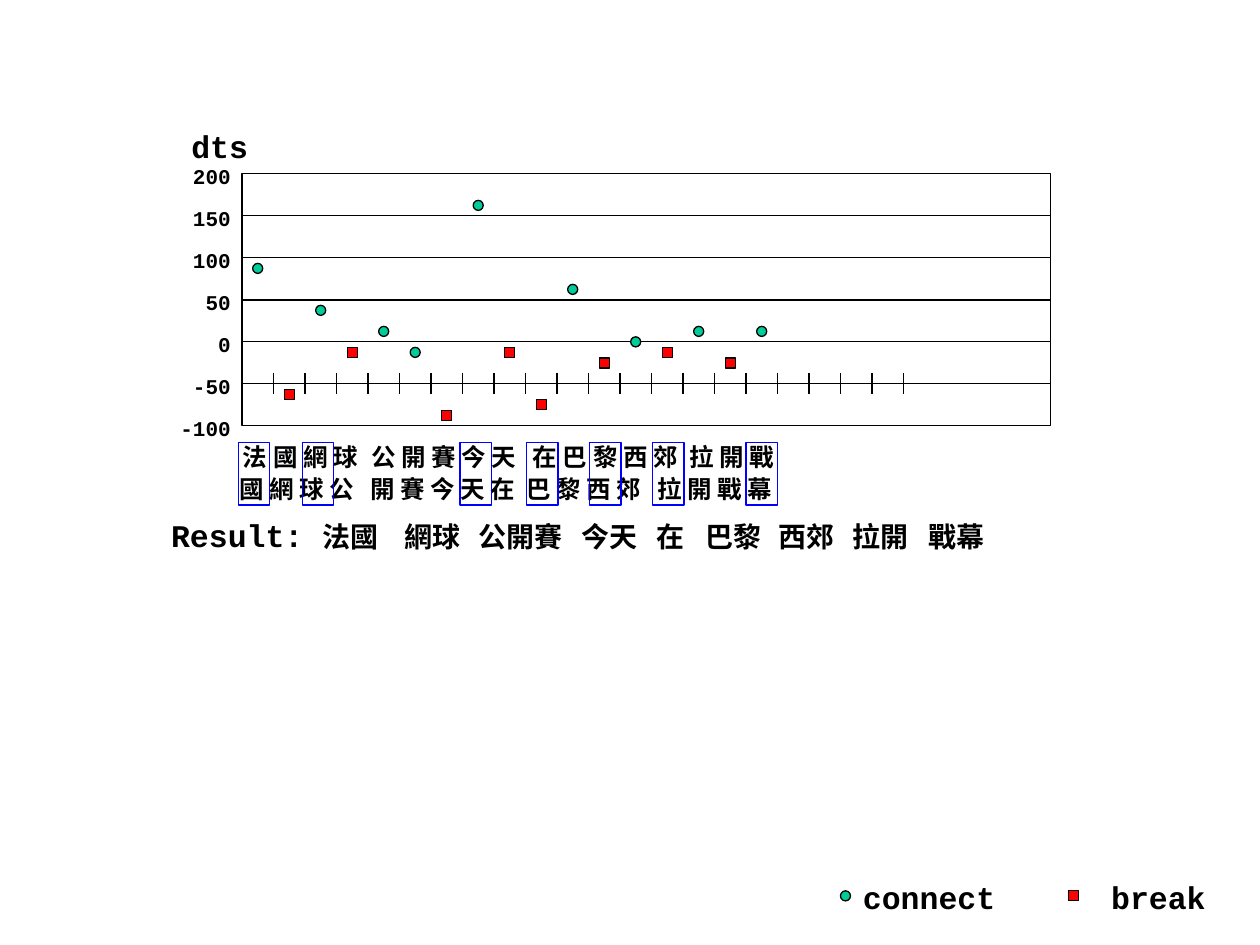
import dataclasses

import pptx
import pptx.dml.color
import pptx.enum.shapes
import pptx.enum.text
import pptx.oxml
import pptx.oxml.ns
import pptx.util
from pptx.util import Inches


@dataclasses.dataclass(frozen=True)
class Theme:
    """Colours, fonts and type sizes of the slide."""
    ink: str = "000000"
    connect: str = "00CC99"
    split: str = "FF0000"
    frame: str = "0000FF"
    mono: str = "Courier New"
    serif: str = "Times New Roman"
    chinese: str = "Noto Sans CJK TC"
    title: int = 18
    axis: int = 12
    pairs: int = 14
    result: int = 16
    gap: int = 24
    line: float = 0.75


THEME = Theme()
SHAPES = pptx.enum.shapes.MSO_SHAPE
ALIGN = pptx.enum.text.PP_ALIGN
LEFT, TOP, WIDTH, HEIGHT = 1.92, 1.38, 6.42, 2
HIGH, LOW, GRID_STEP = 200, -100, 50
PITCH, TICK_COUNT, MARKER = 0.25, 21, 0.08
SCORES = [
    (87.5, True), (-62.5, False), (37.5, True), (-12.5, False), (12.5, True),
    (-12.5, True), (-87.5, False), (162.5, True), (-12.5, False), (-75, False),
    (62.5, True), (-25, False), (0, True), (-12.5, False), (12.5, True),
    (-25, False), (12.5, True),
]
FIRST_ROW = [(1.83, "法 國 網 球"), (2.85, "公 開 賽 今 天"),
             (4.13, "在 巴 黎 西 郊"), (5.37, "拉 開 戰")]
SECOND_ROW = [(1.8, "國 網 球 公"), (2.84, "開 賽 今 天 在"),
              (4.08, "巴 黎 西 郊"), (5.12, "拉 開 戰 幕")]
FRAMES = [1.89, 2.4, 3.65, 4.18, 4.68, 5.18, 5.92]
WORDS = [(1.2, "法國"), (1.85, "網球"), (2.44, "公開賽"), (3.26, "今天"), (3.85, "在"),
         (4.24, "巴黎"), (4.82, "西郊"), (5.41, "拉開"), (6.01, "戰幕")]


def height_of(value):
    """Return the vertical place of a score on the plot."""
    return TOP + (HIGH - value) * HEIGHT / (HIGH - LOW)


def color(code):
    """Return the colour object for a hex code."""
    return pptx.dml.color.RGBColor.from_string(code)


def add_span(para, text, *, size, font=THEME.mono, bold=True):
    """Append one formatted run to a paragraph."""
    span = para.add_run()
    span.text = text
    span.font.size = pptx.util.Pt(size)
    span.font.name = font
    span.font.bold = bold
    span.font.color.rgb = color(THEME.ink)
    east_asian = pptx.oxml.parse_xml(
        f'<a:ea {pptx.oxml.ns.nsdecls("a")} typeface="{font}"/>')
    span.font._element.find(pptx.oxml.ns.qn("a:latin")).addnext(east_asian)


def add_text(page, left, top, width, height, text, *, align=ALIGN.LEFT, **style):
    """Add a text box with one run and return its paragraph."""
    box = page.shapes.add_textbox(*map(Inches, (left, top, width, height)))
    box.text_frame.word_wrap = True
    para = box.text_frame.paragraphs[0]
    para.alignment = align
    add_span(para, text, **style)
    return para


def add_box(page, kind, left, top, width, height, *, fill=None, line=THEME.ink):
    """Add an outlined preset shape, filled or open."""
    box = page.shapes.add_shape(kind, *map(Inches, (left, top, width, height)))
    box.shadow.inherit = False
    if fill:
        box.fill.solid()
        box.fill.fore_color.rgb = color(fill)
    else:
        box.fill.background()
    box.line.color.rgb = color(line)
    box.line.width = pptx.util.Pt(THEME.line)


def add_line(page, *ends):
    """Add a thin straight line without a shadow."""
    line = page.shapes.add_connector(
        pptx.enum.shapes.MSO_CONNECTOR.STRAIGHT, *map(Inches, ends))
    line.line.color.rgb = color(THEME.ink)
    line.line.width = pptx.util.Pt(THEME.line)
    line._element.spPr.append(
        pptx.oxml.parse_xml(f'<a:effectLst {pptx.oxml.ns.nsdecls("a")}/>'))


def add_marker(page, center_x, center_y, connects):
    """Add a round connect marker or a square break marker."""
    add_box(page, SHAPES.OVAL if connects else SHAPES.RECTANGLE,
            center_x - MARKER / 2, center_y - MARKER / 2, MARKER, MARKER,
            fill=THEME.connect if connects else THEME.split)


def add_plot(page):
    """Draw the frame, grid, axis labels, ticks and markers."""
    add_text(page, 1.42, 0.96, 0.75, 0.4, "dts", size=THEME.title)
    add_box(page, SHAPES.RECTANGLE, LEFT, TOP, WIDTH, HEIGHT)
    for value in range(HIGH, LOW - 1, -GRID_STEP):
        y = height_of(value)
        if LOW < value < HIGH:
            add_line(page, LEFT, y, LEFT + WIDTH, y)
        add_text(page, 1.23, y - 0.13, 0.7, 0.3, str(value),
                 size=THEME.axis, align=ALIGN.RIGHT)
    for number in range(1, TICK_COUNT + 1):
        x = LEFT + number * PITCH
        add_line(page, x, 2.96, x, 3.13)
    for number, (value, connects) in enumerate(SCORES):
        add_marker(page, LEFT + (number + 0.5) * PITCH, height_of(value), connects)


def add_pairs(page):
    """Add the two rows of characters and the frames around pairs."""
    for top, row in ((3.46, FIRST_ROW), (3.71, SECOND_ROW)):
        for left, text in row:
            add_text(page, left, top, 1.45, 0.34, text,
                     size=THEME.pairs, font=THEME.chinese)
    for left in FRAMES:
        add_box(page, SHAPES.RECTANGLE, left, 3.51, 0.25, 0.5, line=THEME.frame)


def add_result(page):
    """Add the segmented sentence, its words set on tab stops."""
    para = add_text(page, 1.26, 3.96, 6.9, 0.5, "Result:", size=THEME.title)
    add_span(para, " ", size=THEME.gap, font=THEME.serif, bold=False)
    add_span(para, "".join("\t" + word for _, word in WORDS),
             size=THEME.result, font=THEME.chinese)
    stops = "".join(f'<a:tab pos="{Inches(place)}" algn="l"/>' for place, _ in WORDS)
    para._p.get_or_add_pPr().append(pptx.oxml.parse_xml(
        f'<a:tabLst {pptx.oxml.ns.nsdecls("a")}>{stops}</a:tabLst>'))


def add_legend(page):
    """Add the two legend entries."""
    for marker_x, left, width, text, connects in (
            (6.71, 6.75, 1.35, "connect", True), (8.52, 8.72, 1.05, "break", False)):
        add_marker(page, marker_x, 7.11, connects)
        add_text(page, left, 6.92, width, 0.4, text, size=THEME.title)


def main():
    """Build and save the slide."""
    deck = pptx.Presentation()
    deck.slide_width, deck.slide_height = Inches(10), Inches(7.5)
    page = deck.slides.add_slide(deck.slide_layouts[6])
    add_legend(page)
    add_result(page)
    add_plot(page)
    add_pairs(page)
    deck.save("out.pptx")


if __name__ == "__main__":
    main()
